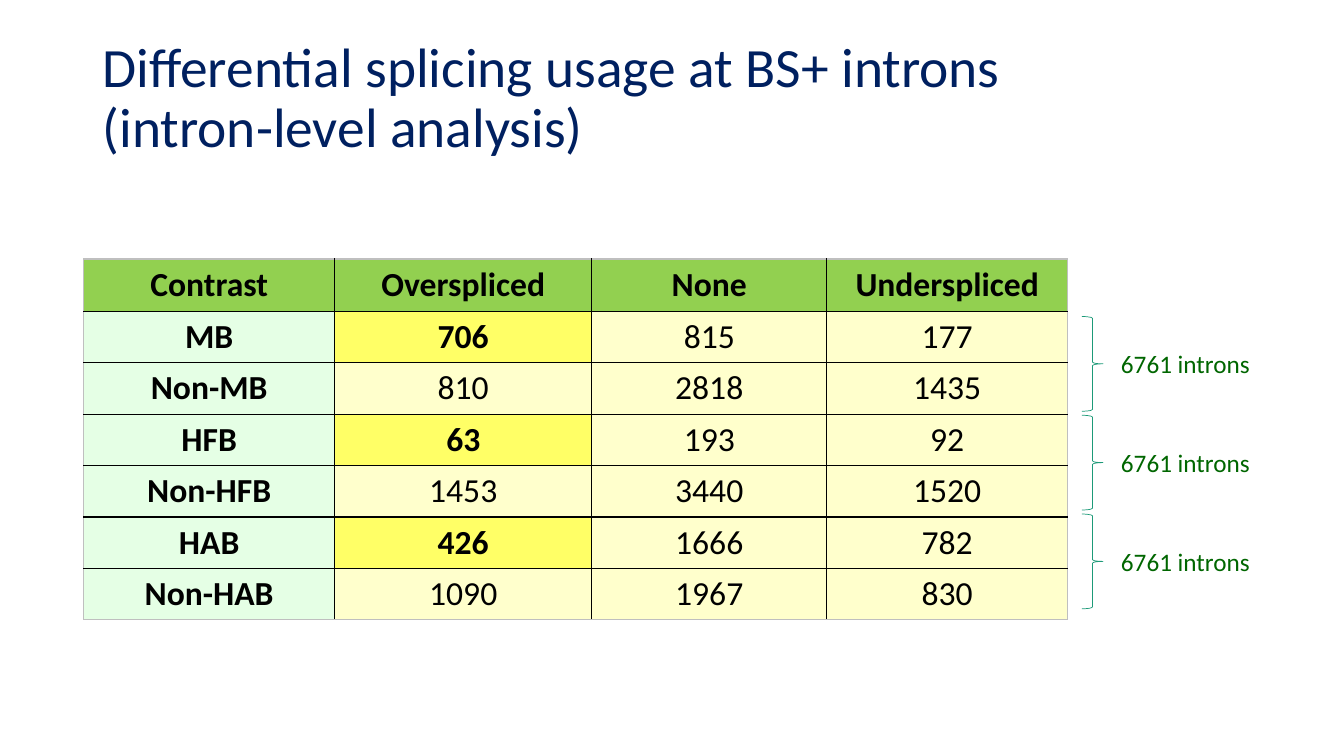
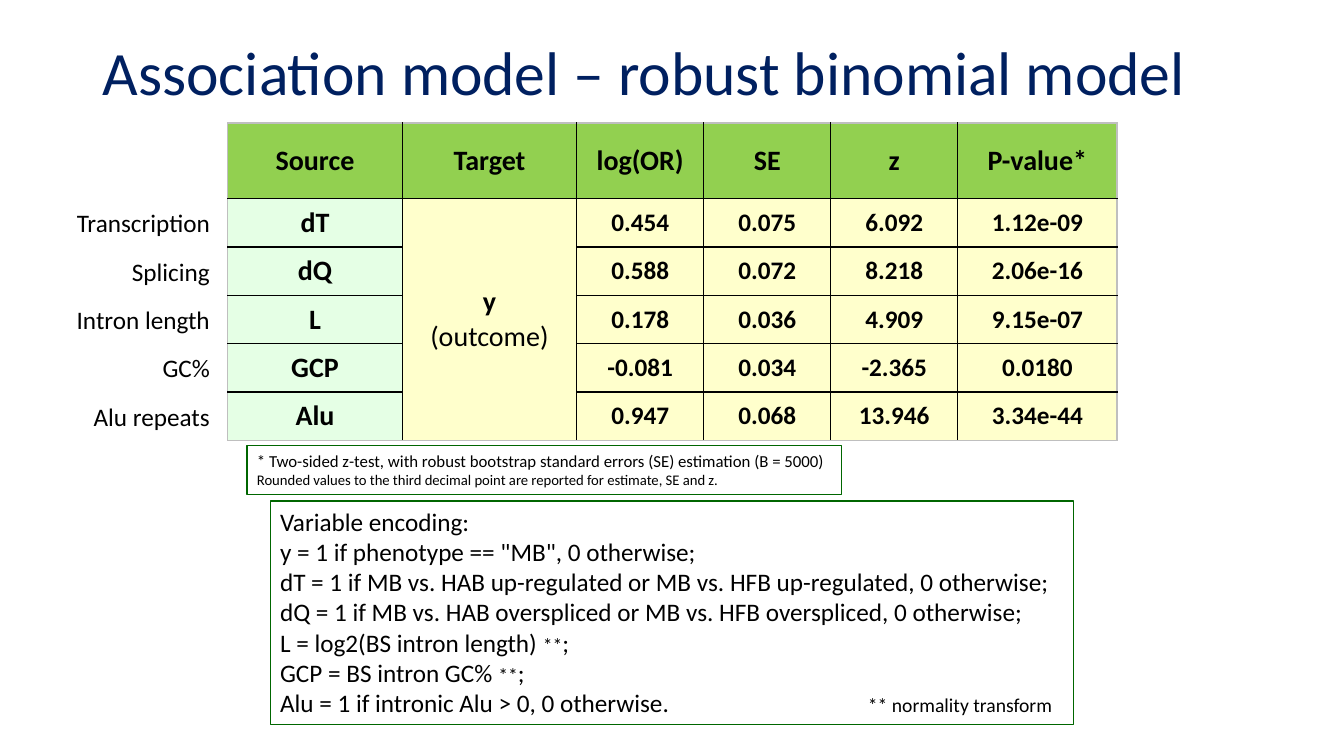
from lxml import etree
from pptx import Presentation
from pptx.dml.color import RGBColor
from pptx.enum.shapes import MSO_SHAPE as Shape
from pptx.enum.text import MSO_ANCHOR as Anchor, PP_ALIGN as Align
from pptx.oxml.ns import qn
from pptx.util import Pt

PX = 9144  # 100 px to the inch
FONT = "Calibri"
COLORS = {
    "title": "002060", "text": "000000", "green": "006600", "brace": "1D9A78",
    "header": "92D050", "row_name": "E5FFE5", "value": "FFFFCC", "highlight": "FFFF66",
    "grid": "000000", "frame": "BFBFBF",
}

SPLICING_TITLE = ["Differential splicing usage at BS+ introns", "(intron-level analysis)"]
SPLICING_ROWS = [
    ["Contrast", "Overspliced", "None", "Underspliced"],
    ["MB", "706", "815", "177"],
    ["Non-MB", "810", "2818", "1435"],
    ["HFB", "63", "193", "92"],
    ["Non-HFB", "1453", "3440", "1520"],
    ["HAB", "426", "1666", "782"],
    ["Non-HAB", "1090", "1967", "830"],
]
HIGHLIGHTS = {(1, 1), (3, 1), (5, 1)}
PAIR_TOTALS = ["6761 introns"] * 3

MODEL_TITLE = ["Association model – robust binomial model"]
MODEL_ROWS = [
    ["Source", "Target", "log(OR)", "SE", "z", "P-value*"],
    ["dT", None, "0.454", "0.075", "6.092", "1.12e-09"],
    ["dQ", None, "0.588", "0.072", "8.218", "2.06e-16"],
    ["L", None, "0.178", "0.036", "4.909", "9.15e-07"],
    ["GCP", None, "-0.081", "0.034", "-2.365", "0.0180"],
    ["Alu", None, "0.947", "0.068", "13.946", "3.34e-44"],
]
OUTCOME = ["y", "(outcome)"]
SOURCE_LABELS = ["Transcription", "Splicing", "Intron length", "GC%", "Alu repeats"]
# Each line is a list of (text, size) runs.
FOOTNOTE = [
    [("* Two-sided z-test, with robust bootstrap standard errors (SE) estimation (B = 5000)", 12)],
    [("Rounded values to the third decimal point are reported for estimate, SE and z.", 10.5)],
]
ENCODING = [
    [("Variable encoding:", 18)],
    [('y = 1 if phenotype == "MB", 0 otherwise;', 18)],
    [("dT = 1 if MB vs. HAB up-regulated or MB vs. HFB up-regulated, 0 otherwise;", 18)],
    [("dQ = 1 if MB vs. HAB overspliced or MB vs. HFB overspliced, 0 otherwise;", 18)],
    [("L = log2(BS intron length) ", 18), ("**", 14), (";", 18)],
    [("GCP = BS intron GC% ", 18), ("**", 14), (";", 18)],
    [("Alu = 1 if intronic Alu > 0, 0 otherwise.", 18), ("\t** normality transform", 14)],
]


def rgb(name):
    return RGBColor.from_string(COLORS[name])


def px(*lengths):
    return [length * PX for length in lengths]


def style(paragraph, size, color="text", bold=False, align=Align.LEFT):
    paragraph.alignment = align
    font = paragraph.font
    font.name, font.size, font.bold = FONT, Pt(size), bold
    font.color.rgb = rgb(color)


def add_text(slide, box, text, size, color="text", align=Align.LEFT):
    frame = slide.shapes.add_textbox(*px(*box)).text_frame
    frame.word_wrap = True
    frame.vertical_anchor = Anchor.MIDDLE
    paragraph = frame.paragraphs[0]
    for index, line in enumerate(text):
        if index:
            paragraph.add_line_break()
        paragraph.add_run().text = line
    style(paragraph, size, color, align=align)
    return paragraph


def add_title(slide, lines, size, height):
    add_text(slide, (92, 36, 1150, height), lines, size, "title").line_spacing = 0.9


def add_outline(slide, kind, box, color, width):
    shape = slide.shapes.add_shape(kind, *px(*box))
    shape.shadow.inherit = False
    shape.fill.background()
    shape.line.color.rgb = rgb(color)
    shape.line.width = Pt(width)
    return shape


def add_note(slide, box, lines, tab=None):
    """Framed text; tab is the px position of a tab stop in every line that uses one."""
    frame = add_outline(slide, Shape.RECTANGLE, box, "green", 0.75).text_frame
    frame.word_wrap = True
    frame.vertical_anchor = Anchor.TOP
    for index, runs in enumerate(lines):
        paragraph = frame.add_paragraph() if index else frame.paragraphs[0]
        if any("\t" in text for text, _ in runs):
            tabs = etree.SubElement(paragraph._p.get_or_add_pPr(), qn("a:tabLst"))
            etree.SubElement(tabs, qn("a:tab"), pos=str(tab * PX), algn="l")
        base_size = runs[0][1]
        style(paragraph, base_size)
        for text, size in runs:
            run = paragraph.add_run()
            run.text = text
            if size != base_size:
                run.font.size = Pt(size)


def set_borders(cell, on_frame):
    """on_frame maps each side to whether it lies on the outside of the table."""
    properties = cell._tc.get_or_add_tcPr()
    for side in "LRTB":
        line = etree.SubElement(properties, qn(f"a:ln{side}"), w=str(Pt(1)))
        fill = etree.SubElement(line, qn("a:solidFill"))
        color = COLORS["frame" if on_frame[side] else "grid"]
        etree.SubElement(fill, qn("a:srgbClr"), val=color)


def fill_cell(cell, lines, size, color, bold):
    """Only the first line of a cell can be bold."""
    cell.fill.solid()
    cell.fill.fore_color.rgb = rgb(color)
    cell.vertical_anchor = Anchor.MIDDLE
    frame = cell.text_frame
    for index, line in enumerate(lines):
        paragraph = frame.add_paragraph() if index else frame.paragraphs[0]
        paragraph.text = line
        style(paragraph, size, bold=bold and index == 0, align=Align.CENTER)


def add_grid(slide, left, top, rows, widths, heights, name_size, value_size,
             bold_values=False, highlights=(), merged=None):
    """Table with a header row and a column of row names; merged fills column 1."""
    last_row, last_column = len(rows), len(widths)
    table = slide.shapes.add_table(
        last_row, last_column, *px(left, top, sum(widths), sum(heights))).table
    table.first_row = table.horz_banding = False
    for column, width in zip(table.columns, widths):
        column.width = width * PX
    for row, height in zip(table.rows, heights):
        row.height = height * PX
    if merged:
        table.cell(1, 1).merge(table.cell(last_row - 1, 1))
    for r, texts in enumerate(rows):
        for c, text in enumerate(texts):
            cell = table.cell(r, c)
            if cell.is_spanned:
                continue
            span = cell.span_height if cell.is_merge_origin else 1
            set_borders(cell, {"L": c == 0, "R": c == last_column - 1,
                               "T": r == 0, "B": r + span == last_row})
            is_name = r == 0 or c == 0
            strong = (r, c) in highlights
            color = ("header" if r == 0 else "row_name" if c == 0
                     else "highlight" if strong else "value")
            lines = merged if text is None else [text]
            size = name_size if is_name or text is None else value_size
            fill_cell(cell, lines, size, color, is_name or strong or bold_values)


def build_splicing(slide):
    add_title(slide, SPLICING_TITLE, 39.6, 125)
    add_grid(slide, 83, 257, SPLICING_ROWS, [249, 255, 233, 239], [52] + [51] * 6,
             24, 24, highlights=HIGHLIGHTS)
    for index, total in enumerate(PAIR_TOTALS):
        top = 314 + 98 * index
        add_outline(slide, Shape.RIGHT_BRACE, (1073, top, 21, 94), "brace", 0.5)
        add_text(slide, (1102, top + 27, 160, 40), [total], 18, "green")


def build_model(slide):
    left, top, header, step = 226, 122, 75, 48
    add_title(slide, MODEL_TITLE, 44, 77)
    add_grid(slide, left, top, MODEL_ROWS, [173, 173, 126, 126, 126, 158],
             [header] + [step] * len(SOURCE_LABELS), 20, 18, bold_values=True, merged=OUTCOME)
    for index, label in enumerate(SOURCE_LABELS):
        row_top = top + header + step * index
        add_text(slide, (left - 168, row_top + 4, 160, 40), [label], 18, align=Align.RIGHT)
    add_note(slide, (245, 442, 590, 49), FOOTNOTE)
    add_note(slide, (268, 497, 797, 222), ENCODING, tab=583)


def main():
    presentation = Presentation()
    presentation.slide_width, presentation.slide_height = px(1333, 750)
    for build in (build_splicing, build_model):
        build(presentation.slides.add_slide(presentation.slide_layouts[6]))
    presentation.save("out.pptx")


if __name__ == "__main__":
    main()
